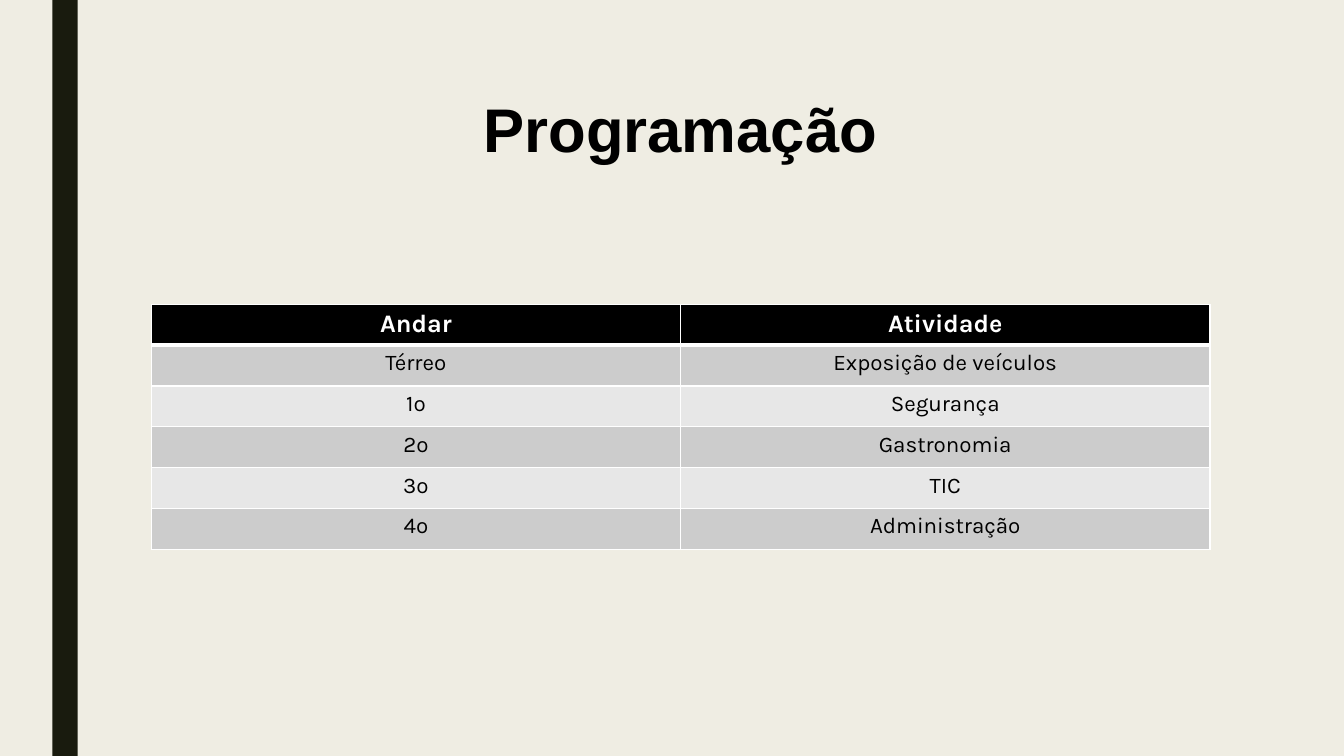
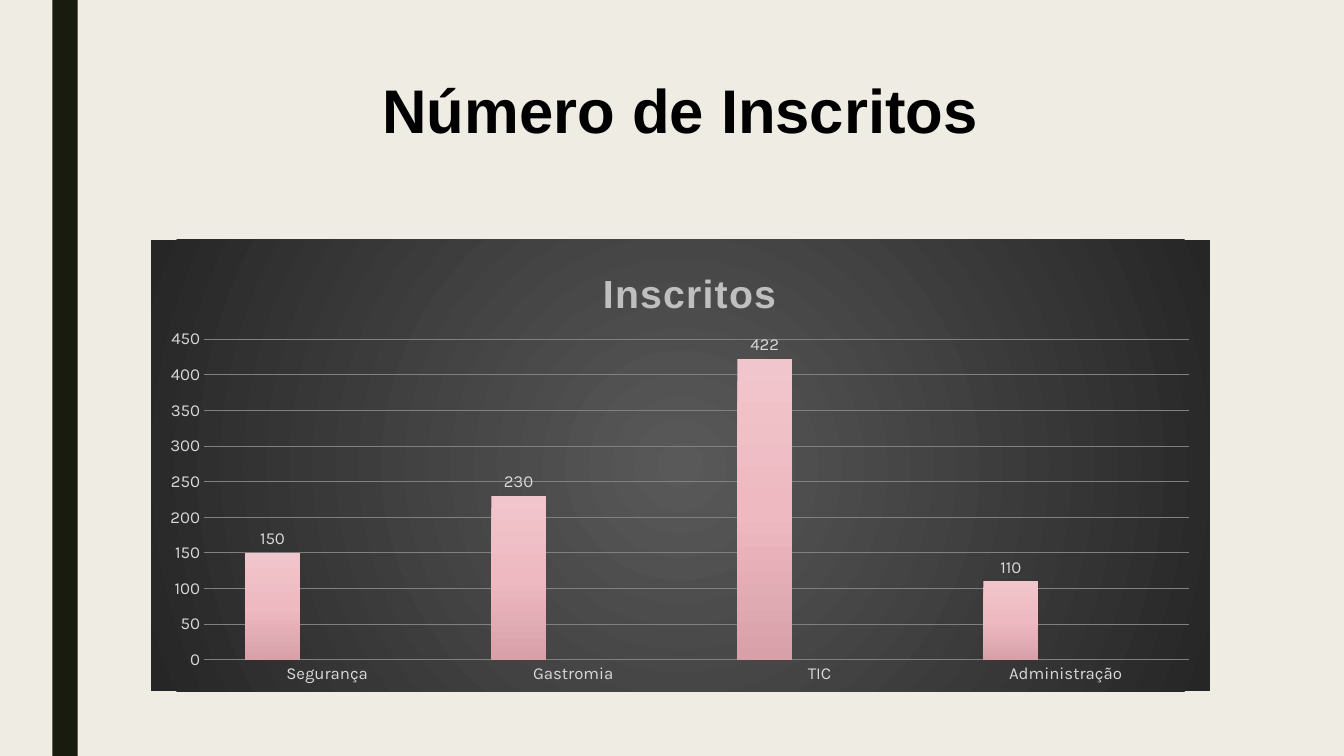
from dataclasses import dataclass
from typing import Any

from lxml import etree
from pptx import Presentation
from pptx.chart.data import CategoryChartData
from pptx.dml.color import RGBColor
from pptx.enum.chart import XL_CHART_TYPE as CT, XL_LABEL_POSITION as LP, XL_TICK_MARK as TM
from pptx.enum.shapes import MSO_SHAPE as SHAPE
from pptx.enum.text import MSO_ANCHOR as ANCHOR, PP_ALIGN as ALIGN
from pptx.oxml import parse_xml
from pptx.oxml.ns import nsdecls, qn
from pptx.util import Inches, Pt

PAPER, BAND, BLACK, WHITE = "EFEDE3", "191B0E", "000000", "FFFFFF"
ROW_FILLS = ("CCCCCC", "E7E7E7")
LABEL, CHART_TITLE, GRID = "D9D9D9", "BFBFBF", "808080"
CHART_FILL = ("595959", "262626")
HEAD_FONT, BODY_FONT = "Arial", "Karla"
LEFT, WIDTH = 1.5, 10.5

TITLE_FMT = {"name": HEAD_FONT, "size": Pt(44), "bold": True, "color": BLACK}
HEADER_FMT = {"name": BODY_FONT, "size": Pt(18), "bold": True, "color": WHITE}
CELL_FMT = {"name": BODY_FONT, "size": Pt(16), "bold": False, "color": BLACK}
CHART_FMT = {"name": BODY_FONT, "size": Pt(10), "color": BLACK}
LABEL_FMT = {"name": BODY_FONT, "size": Pt(12), "color": LABEL}
CHART_TITLE_FMT = {"name": HEAD_FONT, "size": Pt(28), "bold": True, "color": CHART_TITLE}


@dataclass(frozen=True)
class Series:
    name: str
    values: tuple[int | None, ...]
    stops: tuple[str, ...]


PROGRAMME = (
    ("Andar", "Atividade"),
    ("Térreo", "Exposição de veículos"),
    ("1º", "Segurança"),
    ("2º", "Gastronomia"),
    ("3º", "TIC"),
    ("4º", "Administração"),
)
CATEGORIES = ("Segurança", "Gastromia", "TIC", "Administração")
EMPTY = (None,) * len(CATEGORIES)
SERIES = (
    Series("Series 1", (150, 230, 422, 110), ("F0C6CC", "EFB9C1", "D8A1A9")),
    Series("Series 2", EMPTY, ("E793A2", "E77E91", "D36B7D")),
    Series("Series 3", EMPTY, ("C3808B", "BF6978", "AE5968")),
)


def rgb(value: str) -> RGBColor:
    return RGBColor.from_string(value)


def set_font(font: Any, values: dict[str, Any]) -> None:
    for key, value in values.items():
        if key == "color":
            font.color.rgb = rgb(value)
        else:
            setattr(font, key, value)


def set_fill(target: Any, color: str) -> None:
    target.fill.solid()
    target.fill.fore_color.rgb = rgb(color)


def gradient(stops: tuple[str, ...], radial: bool = False) -> str:
    step = 100000 // (len(stops) - 1)
    marks = "".join(
        f'<a:gs pos="{i * step}"><a:srgbClr val="{c}"/></a:gs>' for i, c in enumerate(stops)
    )
    way = '<a:lin ang="5400000" scaled="0"/>'
    if radial:
        way = ('<a:path path="circle">'
               '<a:fillToRect l="50000" t="50000" r="50000" b="50000"/></a:path>')
    return f'<a:gradFill {nsdecls("a")} rotWithShape="1"><a:gsLst>{marks}</a:gsLst>{way}</a:gradFill>'


def set_layout(element: Any, **fractions: float) -> None:
    layout = element.find(qn("c:layout"))
    if layout is None:
        layout = etree.Element(qn("c:layout"))
        tx = element.find(qn("c:tx"))
        if tx is None:
            element.insert(0, layout)
        else:
            tx.addnext(layout)
    for child in list(layout):
        layout.remove(child)
    manual = etree.SubElement(layout, qn("c:manualLayout"))
    if "w" in fractions:
        etree.SubElement(manual, qn("c:layoutTarget"), val="inner")
    for axis in "xy":
        etree.SubElement(manual, qn(f"c:{axis}Mode"), val="edge")
    for key, value in fractions.items():
        etree.SubElement(manual, qn(f"c:{key}"), val=str(value))


def set_borders(cell: Any, widths: dict[str, float]) -> None:
    tc_pr = cell._tc.get_or_add_tcPr()
    for i, (side, width) in enumerate(widths.items()):
        ln = parse_xml(
            f'<a:ln{side} {nsdecls("a")} w="{Pt(width)}"><a:solidFill>'
            f'<a:srgbClr val="{WHITE}"/></a:solidFill></a:ln{side}>'
        )
        tc_pr.insert(i, ln)


def add_base(prs: Any, title: str, top: float) -> Any:
    s = prs.slides.add_slide(prs.slide_layouts[6])
    set_fill(s.background, PAPER)
    band = s.shapes.add_shape(SHAPE.RECTANGLE, Inches(0.52), 0, Inches(0.25), prs.slide_height)
    band.shadow.inherit = False
    set_fill(band, BAND)
    band.line.fill.background()
    sp = s.shapes.add_textbox(Inches(LEFT), Inches(top), Inches(WIDTH), Inches(1.62))
    tf = sp.text_frame
    tf.word_wrap = True
    tf.vertical_anchor = ANCHOR.TOP
    p = tf.paragraphs[0]
    p.alignment = ALIGN.CENTER
    p.line_spacing = 0.89
    r = p.add_run()
    r.text = title
    set_font(r.font, TITLE_FMT)
    return s


def add_programme(s: Any) -> None:
    rows, cols = len(PROGRAMME), len(PROGRAMME[0])
    frame = s.shapes.add_table(
        rows, cols, Inches(LEFT), Inches(3.02), Inches(WIDTH), Inches(2.43)
    )
    table = frame.table
    table.horz_banding = False
    for i, texts in enumerate(PROGRAMME):
        header = i == 0
        for j, text in enumerate(texts):
            cell = table.cell(i, j)
            set_fill(cell, BLACK if header else ROW_FILLS[(i - 1) % 2])
            set_borders(cell, {"L": 1, "R": 1, "T": 3 if i == 1 else 1, "B": 3 if header else 1})
            p = cell.text_frame.paragraphs[0]
            p.alignment = ALIGN.CENTER
            r = p.add_run()
            r.text = text
            set_font(r.font, HEADER_FMT if header else CELL_FMT)


def add_enrolment_chart(s: Any) -> None:
    data = CategoryChartData()
    data.categories = CATEGORIES
    for item in SERIES:
        data.add_series(item.name, item.values)
    chart = s.shapes.add_chart(
        CT.COLUMN_CLUSTERED, Inches(LEFT), Inches(2.38), Inches(WIDTH), Inches(4.48), data
    ).chart
    chart.has_legend = False
    set_font(chart.font, CHART_FMT)
    chart._chartSpace.find(qn("c:txPr")).addprevious(parse_xml(
        f'<c:spPr {nsdecls("c", "a")}>{gradient(CHART_FILL, radial=True)}'
        "<a:ln><a:noFill/></a:ln></c:spPr>"
    ))

    chart.has_title = True
    title = chart.chart_title
    title.include_in_layout = False
    r = title.text_frame.paragraphs[0].add_run()
    r.text = "Inscritos"
    set_font(r.font, CHART_TITLE_FMT)
    r.font._element.set("spc", "100")
    set_layout(title._element, x=0.42, y=0.05)
    set_layout(chart._chartSpace.chart.plotArea, x=0.05, y=0.22, w=0.93, h=0.71)

    for axis in (chart.category_axis, chart.value_axis):
        axis.major_tick_mark = axis.minor_tick_mark = TM.NONE
        axis.format.line.fill.background()
        set_font(axis.tick_labels.font, LABEL_FMT)
    axis = chart.value_axis
    for key, value in {"minimum_scale": 0, "maximum_scale": 450, "major_unit": 50}.items():
        setattr(axis, key, value)
    grid = axis.major_gridlines.format.line
    grid.width = Pt(0.75)
    grid.color.rgb = rgb(GRID)

    plot = chart.plots[0]
    plot.vary_by_categories = False
    plot.gap_width = 150
    plot.overlap = 0
    for item, ser in zip(SERIES, plot.series):
        ser._element.get_or_add_spPr().append(parse_xml(gradient(item.stops)))
        labels = ser.data_labels
        labels.show_value = True
        labels.position = LP.OUTSIDE_END
        set_font(labels.font, LABEL_FMT)


def main() -> None:
    prs = Presentation()
    prs.slide_width, prs.slide_height = Inches(13.33), Inches(7.5)
    add_programme(add_base(prs, "Programação", 0.94))
    add_enrolment_chart(add_base(prs, "Número de Inscritos", 0.75))
    prs.save("out.pptx")


if __name__ == "__main__":
    main()
